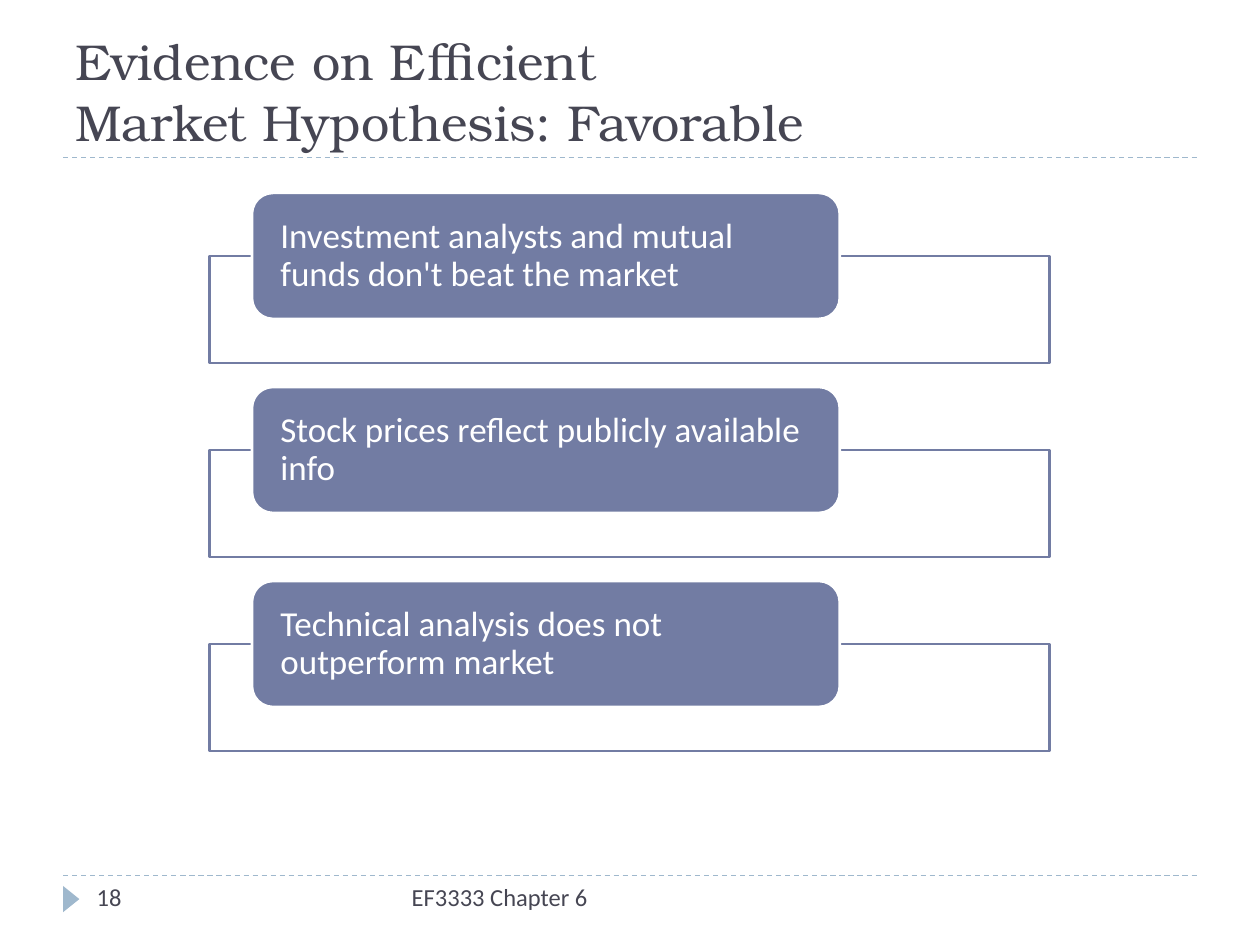
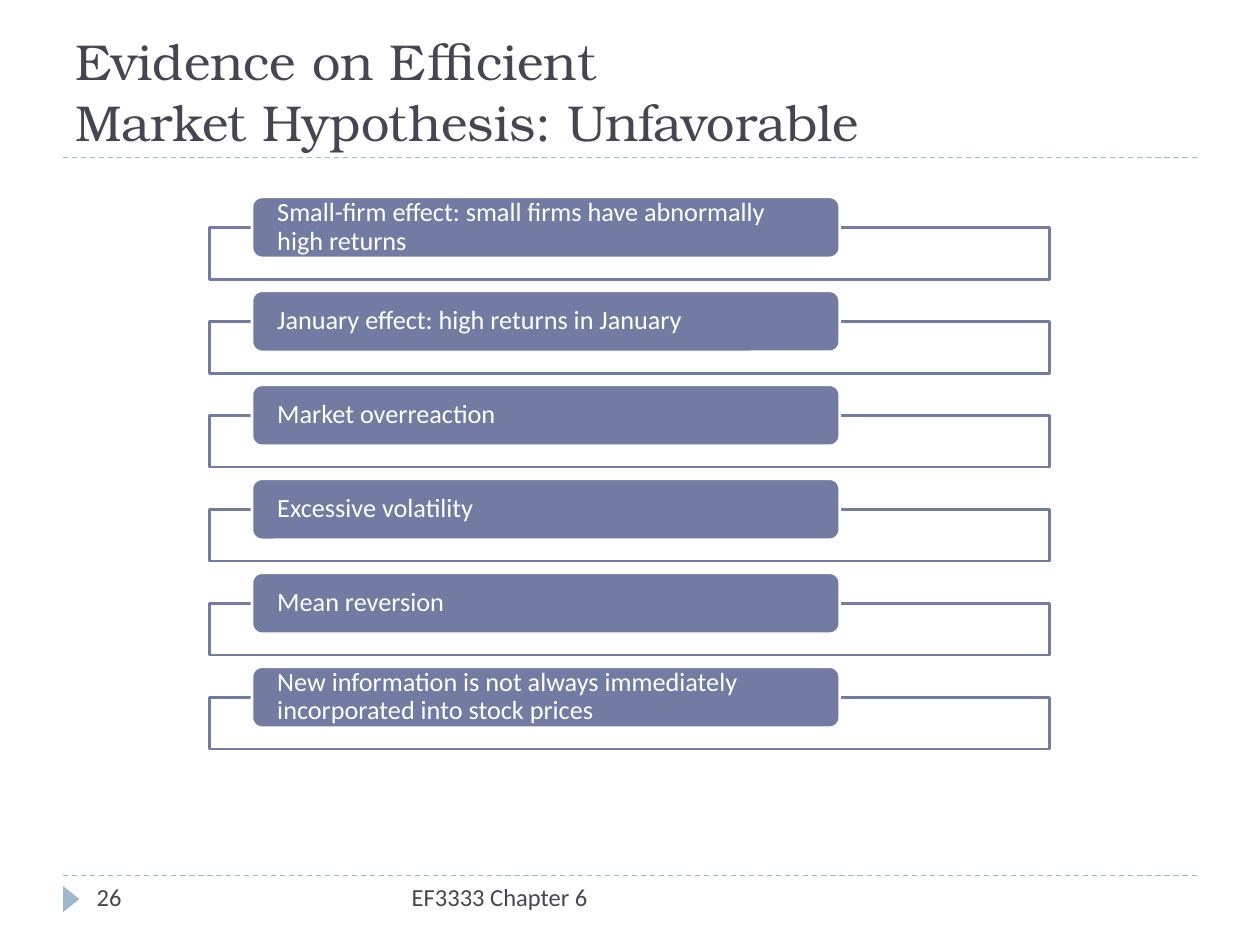
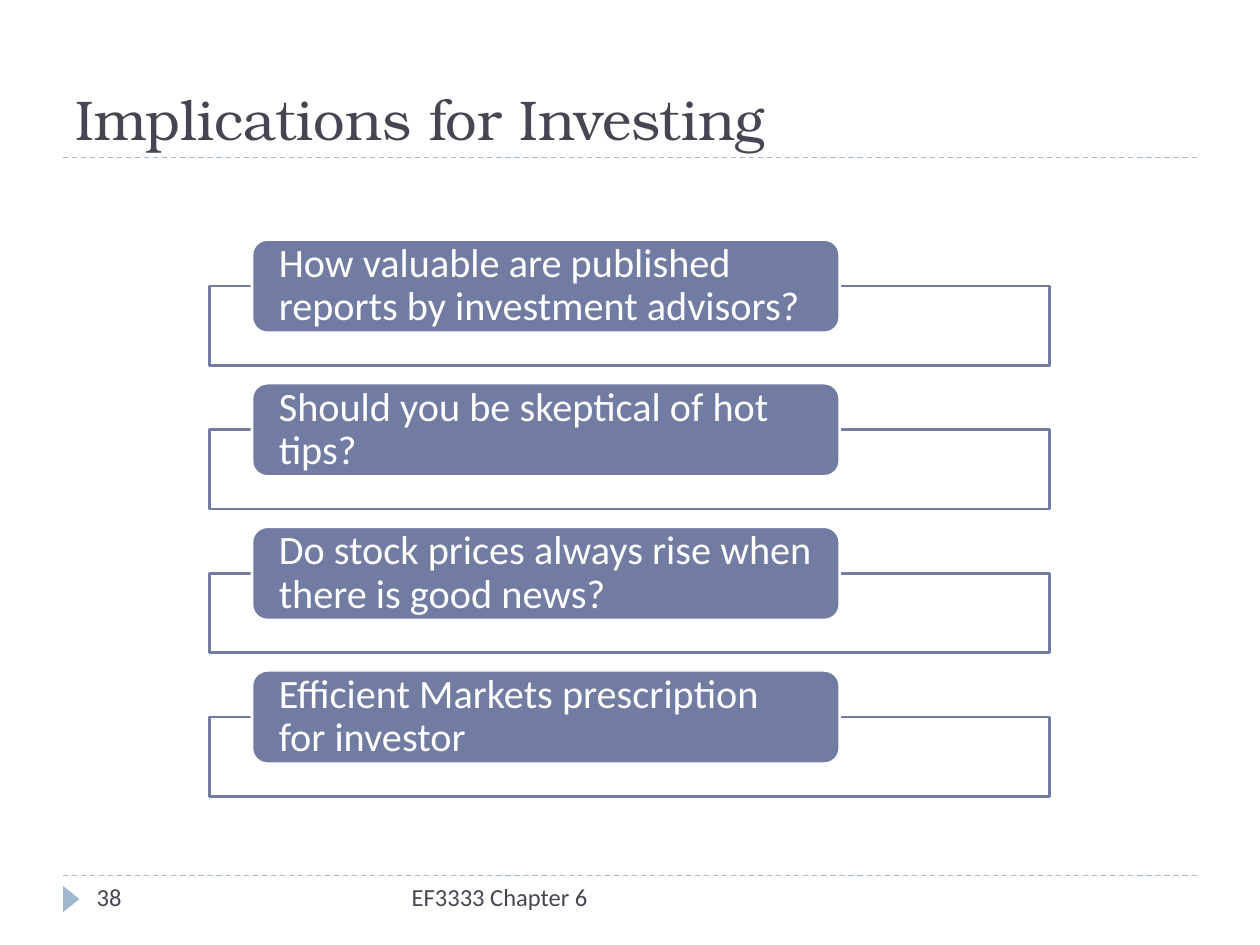
from pptx import Presentation
from pptx.dml.color import RGBColor
from pptx.enum.dml import MSO_LINE
from pptx.enum.shapes import MSO_CONNECTOR, MSO_SHAPE
from pptx.enum.text import MSO_ANCHOR, PP_ALIGN
from pptx.oxml import parse_xml
from pptx.util import Cm, Pt

INK = RGBColor(0x46, 0x46, 0x53)
SLATE = RGBColor(0x72, 0x7C, 0xA3)
SKY = RGBColor(0x9F, 0xB8, 0xCD)
WHITE = RGBColor(0xFF, 0xFF, 0xFF)
SERIF = "TeX Gyre Bonum"
SANS = "Calibri"
NO_GLOW = '<a:effectLst xmlns:a="http://schemas.openxmlformats.org/drawingml/2006/main"/>'


def write(shape, text, size, font=SANS, color=INK, anchor=MSO_ANCHOR.TOP,
          side=0.25, edge=0.13, pitch=None):
    frame = shape.text_frame
    frame.word_wrap = True
    frame.vertical_anchor = anchor
    frame.margin_left = frame.margin_right = Cm(side)
    frame.margin_top = frame.margin_bottom = Cm(edge)
    frame.text = text
    for para in frame.paragraphs:
        para.alignment = PP_ALIGN.LEFT
        para.line_spacing = pitch
        for run in para.runs:
            run.font.size = Pt(size)
            run.font.name = font
            run.font.color.rgb = color


def draw(slide, kind, left, top, width, height, fill, line=None):
    shape = slide.shapes.add_shape(kind, Cm(left), Cm(top), Cm(width), Cm(height))
    shape.shadow.inherit = False
    shape.fill.solid()
    shape.fill.fore_color.rgb = fill
    if line is None:
        shape.line.fill.background()
    else:
        shape.line.color.rgb = line
        shape.line.width = Pt(1.5)
    return shape


pages = [
    {"title": "Evidence on Efficient \vMarket Hypothesis: Favorable", "head": 28.8,
     "page": "18", "top": 3.89, "tall": 2.54, "size": 20,
     "cards": ["Investment analysts and mutual funds don't beat the market",
               "Stock prices reflect publicly available info",
               "Technical analysis does not outperform market"]},
    {"title": "Evidence on Efficient \vMarket Hypothesis: Unfavorable", "head": 28.8,
     "page": "26", "top": 3.97, "tall": 1.23, "size": 15,
     "cards": ["Small-firm effect: small firms have abnormally high returns",
               "January effect: high returns in January",
               "Market overreaction",
               "Excessive volatility",
               "Mean reversion",
               "New information is not always immediately incorporated into stock prices"]},
    {"title": "Implications for Investing", "head": 32,
     "page": "38", "top": 4.83, "tall": 1.88, "size": 23,
     "cards": ["How valuable are published reports by investment advisors?",
               "Should you be skeptical of hot tips?",
               "Do stock prices always rise when there is good news?",
               "Efficient Markets prescription for investor"]},
]

deck = Presentation()
deck.slide_width = Cm(25.4)
deck.slide_height = Cm(19.05)

for page in pages:
    slide = deck.slides.add_slide(deck.slide_layouts[6])

    for y in (17.65, 3.18):
        rule = slide.shapes.add_connector(
            MSO_CONNECTOR.STRAIGHT, Cm(1.27), Cm(y), Cm(24.13), Cm(y))
        rule.line.color.rgb = SKY
        rule.line.width = Pt(0.75)
        rule.line.dash_style = MSO_LINE.DASH
        rule._element.spPr.append(parse_xml(NO_GLOW))

    mark = draw(slide, MSO_SHAPE.ISOSCELES_TRIANGLE, 1.17, 17.96, 0.53, 0.33, SKY)
    mark.rotation = 90

    title = slide.shapes.add_textbox(Cm(1.27), Cm(0.64), Cm(22.86), Cm(2.54))
    write(title, page["title"], page["head"], font=SERIF, anchor=MSO_ANCHOR.BOTTOM)

    for text, left, width in (("EF3333 Chapter 6", 8.05, 9.73), (page["page"], 1.7, 5.5)):
        foot = slide.shapes.add_textbox(Cm(left), Cm(17.65), Cm(width), Cm(1.02))
        write(foot, text, 14)

    tall = page["tall"]
    for i, text in enumerate(page["cards"]):
        top = page["top"] + i * 1.54 * tall
        draw(slide, MSO_SHAPE.RECTANGLE, 4.23, top + tall / 2, 16.93, 0.85 * tall,
             WHITE, SLATE)
        card = draw(slide, MSO_SHAPE.ROUNDED_RECTANGLE, 5.08, top, 11.85, tall,
                    SLATE, WHITE)
        write(card, text, page["size"], color=WHITE, anchor=MSO_ANCHOR.MIDDLE,
              side=0.45, edge=0, pitch=0.9)

deck.save("out.pptx")
